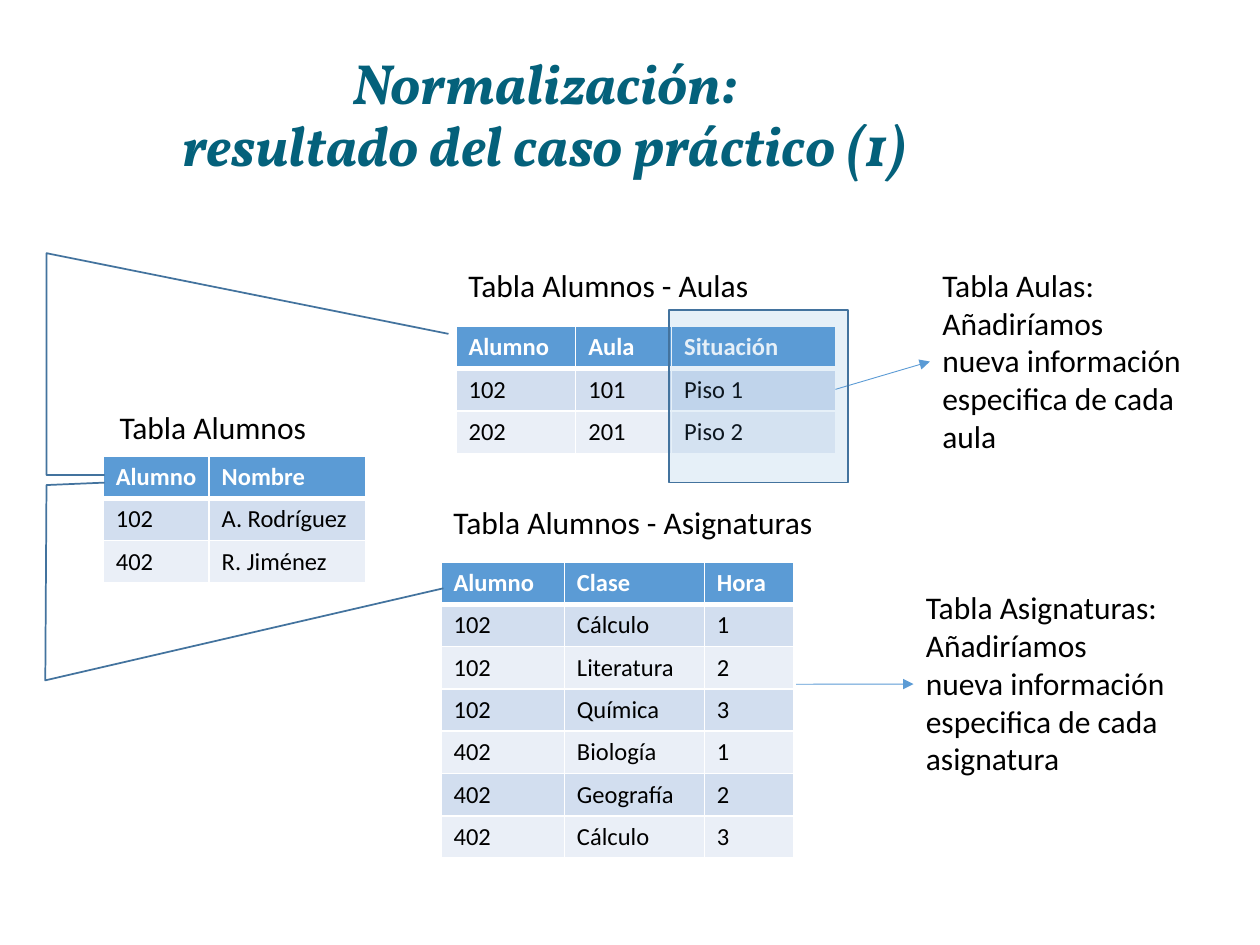
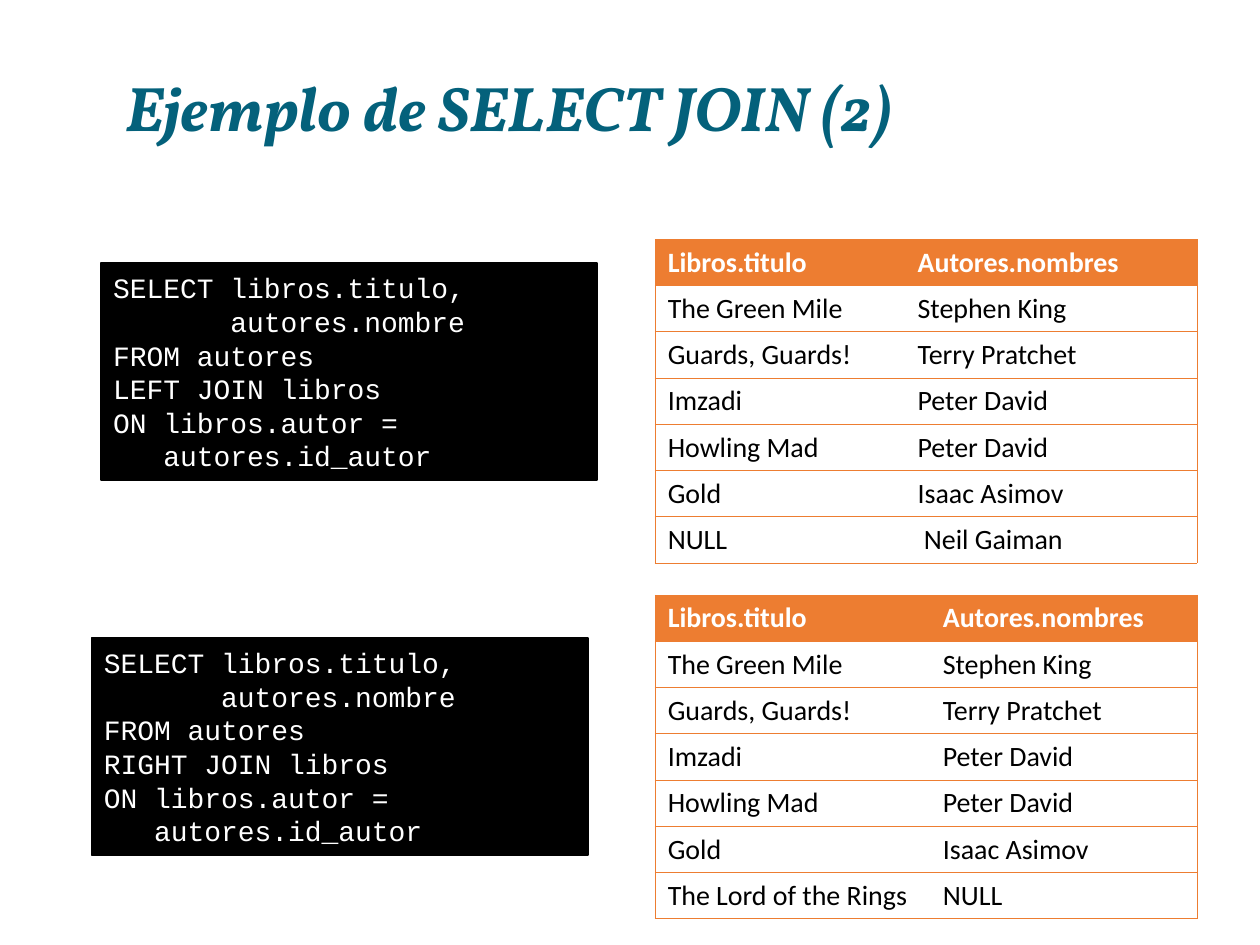
from lxml.etree import SubElement
from pptx import Presentation
from pptx.dml.color import RGBColor
from pptx.enum.shapes import MSO_CONNECTOR, MSO_SHAPE
from pptx.enum.text import MSO_ANCHOR as ANCHOR, MSO_AUTO_SIZE as FIT, PP_ALIGN as ALIGN
from pptx.oxml.ns import qn
from pptx.util import Pt

TEAL = RGBColor(0x04, 0x61, 0x7B)
BLUE = RGBColor(0x5B, 0x9B, 0xD5)
DARK_BLUE = RGBColor(0x43, 0x73, 0x9E)
BAND_DARK = RGBColor(0xD2, 0xDE, 0xEF)
BAND_LIGHT = RGBColor(0xEA, 0xEF, 0xF7)
ORANGE = RGBColor(0xED, 0x7D, 0x31)
WHITE = RGBColor(0xFF, 0xFF, 0xFF)
BLACK = RGBColor(0, 0, 0)

TITLE_FONT, BODY_FONT, CODE_FONT = "Vollkorn", "Calibri", "Courier New"


class Deck:
    """Holds the presentation style and draws on the current slide."""

    def __init__(self):
        self.prs = Presentation()
        self.prs.slide_width, self.prs.slide_height = Pt(720), Pt(540)

    def box(self, *lengths):
        return [Pt(v) for v in lengths]

    def style(self, tf, font, size, color, bold=False, italic=False, align=ALIGN.LEFT):
        for p in tf.paragraphs:
            p.alignment = align
            for r in p.runs:
                f = r.font
                f.name, f.size, f.bold, f.italic = font, Pt(size), bold, italic
                f.color.rgb = color

    def slide(self, title, x, y, w, h, size):
        self.s = self.prs.slides.add_slide(self.prs.slide_layouts[5])
        sp = self.s.shapes.title
        sp.left, sp.top, sp.width, sp.height = self.box(x, y, w, h)
        tf = sp.text_frame
        tf.text = title
        tf.auto_size, tf.vertical_anchor = FIT.NONE, ANCHOR.MIDDLE
        tf.paragraphs[0].line_spacing = 0.9
        self.style(tf, TITLE_FONT, size, TEAL, True, True, ALIGN.CENTER)

    def text(self, text, x, y, w, h, wrap=False):
        sp = self.s.shapes.add_textbox(*self.box(x, y, w, h))
        tf = sp.text_frame
        tf.text = text
        tf.word_wrap, tf.auto_size = wrap, FIT.SHAPE_TO_FIT_TEXT
        self.style(tf, BODY_FONT, 18, BLACK)
        return sp

    def rect(self, x, y, w, h, fill, line, opacity=None):
        sp = self.s.shapes.add_shape(MSO_SHAPE.RECTANGLE, *self.box(x, y, w, h))
        sp.shadow.inherit = False
        sp.fill.solid()
        sp.fill.fore_color.rgb = fill
        if opacity:
            color = sp._element.spPr.find(qn("a:solidFill"))[0]
            SubElement(color, qn("a:alpha"), val=str(opacity * 1000))
        sp.line.color.rgb, sp.line.width = line, Pt(1)
        return sp

    def code(self, text, x, y):
        tf = self.rect(x, y, 283.7, 123.8, BLACK, BLACK).text_frame
        tf.text = text
        tf.word_wrap, tf.vertical_anchor = True, ANCHOR.MIDDLE
        self.style(tf, CODE_FONT, 16, WHITE)
        for p in tf.paragraphs:
            p.line_spacing = Pt(19.2)

    def path_line(self, start, *points):
        builder = self.s.shapes.build_freeform(*self.box(*start))
        builder.add_line_segments([self.box(*pt) for pt in points], close=False)
        sp = builder.convert_to_shape()
        sp.shadow.inherit = False
        sp.fill.background()
        sp.line.color.rgb, sp.line.width = DARK_BLUE, Pt(1)

    def arrow(self, x, y, target):
        c = self.s.shapes.add_connector(MSO_CONNECTOR.STRAIGHT, *self.box(x, y, x, y))
        c.end_connect(target, 1)
        c.line.color.rgb, c.line.width = BLUE, Pt(0.5)
        spPr = c._element.spPr
        SubElement(spPr.find(qn("a:ln")), qn("a:tailEnd"), type="triangle")
        SubElement(spPr, qn("a:effectLst"))

    def border(self, cell, side, color, width):
        ln = SubElement(cell._tc.get_or_add_tcPr(), qn("a:ln" + side), w=str(Pt(width)))
        if color is None:
            SubElement(ln, qn("a:noFill"))
        else:
            fill = SubElement(ln, qn("a:solidFill"))
            SubElement(fill, qn("a:srgbClr"), val=str(color))

    def table(self, x, y, widths, row_h, rows, size, head, bands, edges):
        shape = self.s.shapes.add_table(
            len(rows), len(widths), *self.box(x, y, sum(widths), row_h * len(rows)))
        tbl = shape.table
        for col, w in zip(tbl.columns, widths):
            col.width = Pt(w)
        for i, values in enumerate(rows):
            tbl.rows[i].height = Pt(row_h)
            for j, value in enumerate(values):
                cell = tbl.cell(i, j)
                cell.text = value
                cell.vertical_anchor = ANCHOR.MIDDLE
                cell.margin_top = cell.margin_bottom = Pt(3.4)
                self.style(cell.text_frame, BODY_FONT, size, BLACK if i else WHITE, not i)
                for side, (color, width) in zip("LRTB", edges(i, j)):
                    self.border(cell, side, color, width)
                cell.fill.solid()
                cell.fill.fore_color.rgb = bands[i % 2] if i else head
        return tbl

    def blue_table(self, x, y, widths, rows):
        def edges(i, j):
            return [(WHITE, w) for w in (1, 1, 3 if i == 1 else 1, 1 if i else 3)]
        return self.table(x, y, widths, 24.2, rows, 14, BLUE, (BAND_LIGHT, BAND_DARK), edges)

    def orange_table(self, x, y, widths, rows):
        def edges(i, j):
            sides = (None, ORANGE) if j else (ORANGE, None)
            return [(c, 0.5) for c in (*sides, ORANGE, ORANGE)]
        head = ("Libros.titulo", "Autores.nombres")
        return self.table(x, y, widths, 26.43, [head, *rows], 16, ORANGE, (WHITE, WHITE), edges)


def normalization_slide(d):
    d.slide("Normalización:\vresultado del caso práctico (1)", 53.3, 30.2, 515.5, 73.4, 32.4)
    d.blue_table(59, 260.6, (60.5, 89.3), [
        ("Alumno", "Nombre"), ("102", "A. Rodríguez"), ("402", "R. Jiménez")])
    d.blue_table(252, 321.1, (70.5, 80, 51.3), [
        ("Alumno", "Clase", "Hora"),
        ("102", "Cálculo", "1"), ("102", "Literatura", "2"), ("102", "Química", "3"),
        ("402", "Biología", "1"), ("402", "Geografía", "2"), ("402", "Cálculo", "3")])
    d.blue_table(260.6, 186.5, (68.4, 54.8, 93.8), [
        ("Alumno", "Aula", "Situación"), ("102", "101", "Piso 1"), ("202", "201", "Piso 2")])
    d.text("Tabla Alumnos", 61.2, 229.7, 121, 28.8)
    d.text("Tabla Alumnos - Asignaturas", 252, 283.7, 219.6, 28.8)
    d.text("Tabla Alumnos - Aulas", 260.6, 148.3, 174.2, 28.8)

    notes = [("Aulas", "aula", 531.4, 148.3, 477.4, 222.5),
             ("Asignaturas", "asignatura", 522, 332.6, 455, 391)]
    for name, item, x, y, from_x, from_y in notes:
        note = d.text(f"Tabla {name}:\nAñadiríamos nueva información especifica de cada {item}",
                      x, y, 154.1, 116.6, wrap=True)
        d.arrow(from_x, from_y, note)

    d.path_line((59.8, 271.4), (26.6, 271.4), (26.6, 144.7), (256.3, 190.8))
    d.path_line((59.8, 275.8), (26.6, 277.2), (25.9, 388.8), (253.4, 336.2))
    d.rect(382.3, 177.1, 102.2, 98.6, BLUE, DARK_BLUE, opacity=15)


def join_slide(d):
    d.slide("Ejemplo de SELECT JOIN (2)", 12.2, 26.6, 557.3, 73.4, 36)
    for join, x, y in (("LEFT", 57.6, 150.5), ("RIGHT", 52.3, 364.7)):
        d.code("SELECT libros.titulo,\n       autores.nombre\nFROM autores\n"
               f"{join} JOIN libros\nON libros.autor =\n   autores.id_autor", x, y)
    books = [("The Green Mile", "Stephen King"), ("Guards, Guards!", "Terry Pratchet"),
             ("Imzadi", "Peter David"), ("Howling Mad", "Peter David"),
             ("Gold", "Isaac Asimov")]
    left = d.orange_table(374.4, 136.8, (142.8, 166.8), [*books, ("NULL", "Neil Gaiman")])
    left.cell(6, 1).margin_left = Pt(10.8)
    d.orange_table(374.4, 340.1, (157.2, 152.4), [*books, ("The Lord of the Rings", "NULL")])


def main():
    d = Deck()
    normalization_slide(d)
    join_slide(d)
    d.prs.save("out.pptx")


if __name__ == "__main__":
    main()
